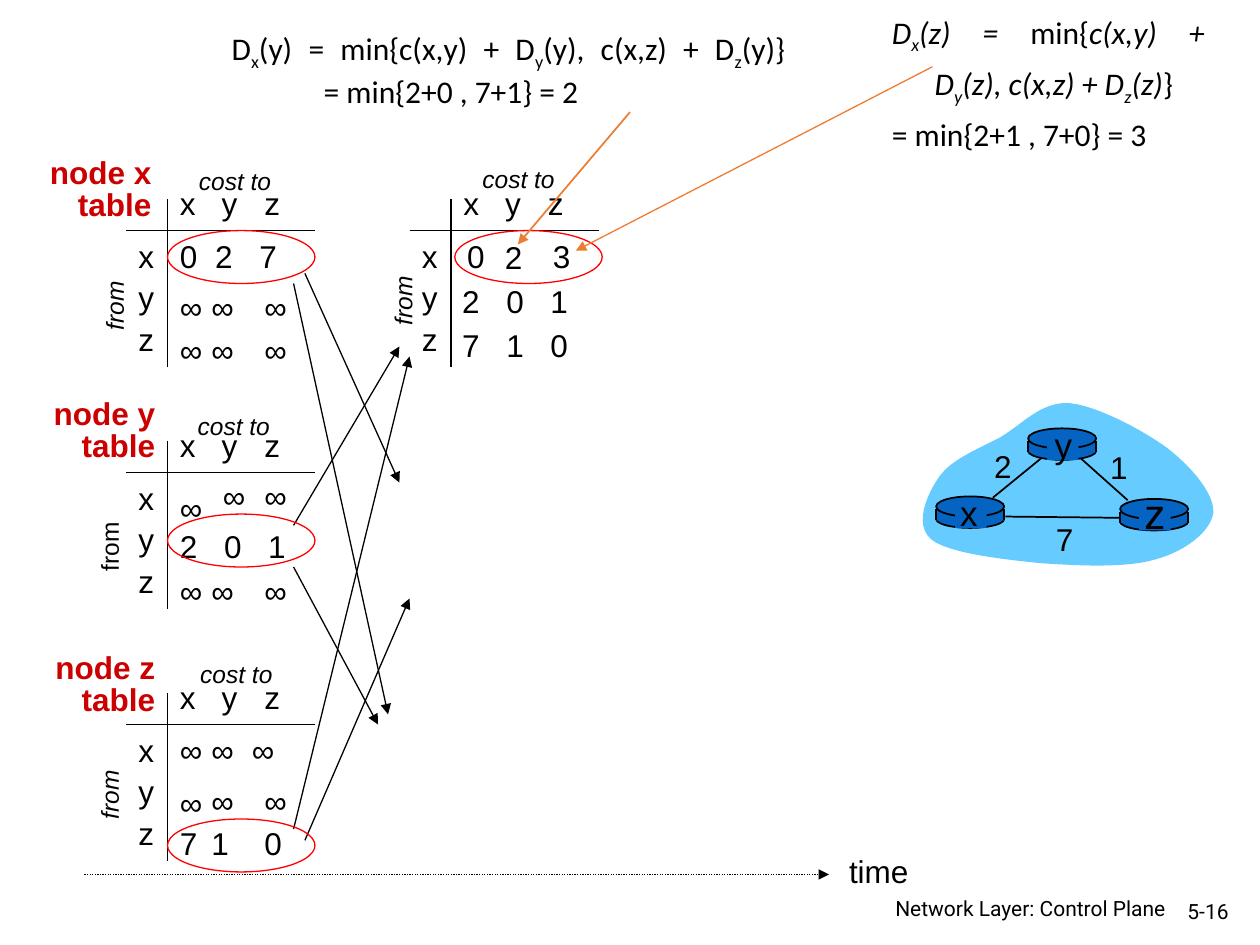
from lxml.etree import SubElement
from pptx import Presentation
from pptx.dml.color import RGBColor
from pptx.enum.dml import MSO_LINE
from pptx.enum.shapes import MSO_CONNECTOR, MSO_SHAPE
from pptx.enum.text import MSO_ANCHOR, MSO_AUTO_SIZE, PP_ALIGN
from pptx.oxml.ns import qn
from pptx.util import Inches, Pt

COLORS = {"black": "000000", "node": "CC0000", "ring": "FF0000",
          "pointer": "ED7D31", "cloud": "66CCFF", "router": "0563C1"}

presentation = Presentation()
presentation.slide_width, presentation.slide_height = Inches(10), Inches(7.5)
slide = presentation.slides.add_slide(presentation.slide_layouts[6])
shapes = slide.shapes


def add_text(box, lines, size=18, font="Arial", color="black", bold=False, italic=False,
             align=PP_ALIGN.LEFT, stops=(), spacing=None, wrap=False):
    shape = shapes.add_textbox(*map(Inches, box))
    frame = shape.text_frame
    frame.word_wrap = wrap
    frame.auto_size = MSO_AUTO_SIZE.SHAPE_TO_FIT_TEXT
    frame.text = lines
    for paragraph in frame.paragraphs:
        paragraph.alignment = align
        if spacing:
            paragraph.line_spacing = spacing
        if stops:
            tab_list = SubElement(paragraph._p.get_or_add_pPr(), qn("a:tabLst"))
            for stop in stops:
                SubElement(tab_list, qn("a:tab"), pos=str(Inches(stop)), algn="l")
        for run in paragraph.runs:
            run.font.size, run.font.name = Pt(size), font
            run.font.bold, run.font.italic = bold, italic
            run.font.color.rgb = RGBColor.from_string(COLORS[color])
    return shape


def add_line(x1, y1, x2, y2, color="black", width=0.75, arrow=False, dash=None):
    line = shapes.add_connector(MSO_CONNECTOR.STRAIGHT, *map(Inches, (x1, y1, x2, y2)))
    line.line.color.rgb = RGBColor.from_string(COLORS[color])
    line.line.width = Pt(width)
    if dash:
        line.line.dash_style = dash
    properties = line._element.spPr
    if arrow:
        SubElement(properties.find(qn("a:ln")), qn("a:tailEnd"), type="triangle")
    SubElement(properties, qn("a:effectLst"))


for left, top in [(1.33, 1.58), (3.58, 1.58), (1.33, 3.5), (1.33, 5.5)]:
    add_line(left, top, left, top + 1.33)
    add_line(left - 0.33, top + 0.25, left + 1.17, top + 0.25)
    add_text((left, top - 0.17, 1.08, 0.4), "x\ty\tz", stops=(0.33, 0.67), wrap=True)
    for row, node in enumerate("xyz"):
        add_text((left - 0.33, top + 0.25 + 0.33 * row, 0.33, 0.4), node)

for left, top in [(1.48, 1.27), (3.73, 1.25), (1.47, 3.21), (1.49, 5.18)]:
    add_text((left, top, 0.82, 0.33), "cost to", size=14, italic=True, wrap=True)

for left, top, italic in [(0.61, 2.26, True), (2.9, 2.22, True),
                          (0.57, 4.17, False), (0.57, 6.14, True)]:
    add_text((left, top, 0.59, 0.33), "from", size=14, italic=italic).rotation = 270

for left, top, value in [
        (1.33, 2.24, "∞"), (1.58, 2.24, "∞"), (2, 2.24, "∞"),
        (1.33, 2.58, "∞"), (1.58, 2.58, "∞"), (2, 2.58, "∞"),
        (1.67, 3.74, "∞"), (2, 3.74, "∞"),
        (1.33, 4.49, "∞"), (1.58, 4.49, "∞"), (2, 4.49, "∞"),
        (1.33, 6.17, "∞"), (1.58, 6.16, "∞"), (2, 6.16, "∞"),
        (1.33, 6.49, "7"), (1.58, 6.49, "1"), (2, 6.49, "0"),
        (3.61, 1.83, "0"), (3.91, 1.84, "2"), (4.29, 1.83, "3")]:
    add_text((left, top, 0.38 if value == "∞" else 0.34, 0.4), value)

for left, top, height, values, stops in [
        (1.33, 1.83, 0.4, "0\t2\t7", (0.28, 0.63)),
        (1.33, 3.83, 0.7, "∞\n2\t0\t1", (0.35, 0.7)),
        (1.33, 5.75, 0.4, "∞\t∞\t∞", (0.25, 0.57)),
        (3.57, 2.19, 0.4, "2\t0\t1", (0.35, 0.7)),
        (3.57, 2.54, 0.4, "7\t1\t0", (0.35, 0.7))]:
    add_text((left, top, 1.08, height), values, stops=stops, wrap=True)

for ends in [(2.42, 2.17, 3.17, 3.83), (2.33, 2.25, 3.08, 5.67), (2.33, 4.17, 3.17, 2.75),
             (2.33, 4.5, 3, 5.75), (2.33, 6.58, 3.25, 2.83), (2.42, 6.67, 3.25, 4.75)]:
    add_line(*ends, arrow=True)
add_line(0.67, 6.94, 6.58, 6.94, arrow=True, dash=MSO_LINE.ROUND_DOT)
add_text((6.64, 6.71, 0.67, 0.4), "time")

start = (7.45, 3.79)
curves = [((7.54, 3.65), (7.77, 3.56), (7.94, 3.47)), ((8.11, 3.37), (8.27, 3.18), (8.49, 3.2)),
          ((8.71, 3.22), (9.08, 3.42), (9.27, 3.56)), ((9.46, 3.71), (9.64, 3.92), (9.63, 4.07)),
          ((9.61, 4.22), (9.4, 4.38), (9.17, 4.44)), ((8.94, 4.51), (8.55, 4.49), (8.26, 4.47)),
          ((7.96, 4.44), (7.52, 4.39), (7.39, 4.28)), ((7.25, 4.16), (7.36, 3.92), (7.45, 3.79))]
outline, current = [], start
for first, second, end in curves:
    for step in range(1, 13):
        t = step / 12
        outline.append(tuple(
            Inches((1 - t) ** 3 * a + 3 * (1 - t) ** 2 * t * b
                   + 3 * (1 - t) * t ** 2 * c + t ** 3 * d)
            for a, b, c, d in zip(current, first, second, end)))
    current = end
builder = shapes.build_freeform(*map(Inches, start))
builder.add_line_segments(outline, close=True)
cloud = builder.convert_to_shape()
cloud.shadow.inherit = False
cloud.fill.solid()
cloud.fill.fore_color.rgb = RGBColor.from_string(COLORS["cloud"])
cloud.line.fill.background()

for ends in [(7.88, 3.95, 8.26, 3.64), (8.58, 3.64, 8.95, 3.97), (8.91, 4.11, 7.98, 4.1)]:
    add_line(*ends, width=1)

for left, top, name, size, label_box in [
        (7.43, 3.94, "x", 20, (7.52, 3.85, 0.34, 0.43)),
        (8.89, 3.96, "z", 24, (8.98, 3.82, 0.37, 0.5)),
        (8.16, 3.4, "y", 20, (8.27, 3.31, 0.34, 0.43))]:
    for kind, dx, dy, width, height in [
            (MSO_SHAPE.OVAL, 0, 0.11, 0.54, 0.14), (MSO_SHAPE.RECTANGLE, 0, 0.1, 0.54, 0.09),
            (MSO_SHAPE.OVAL, 0, 0, 0.54, 0.16), (MSO_SHAPE.RECTANGLE, 0.15, 0.02, 0.25, 0.23)]:
        part = shapes.add_shape(kind, *map(Inches, (left + dx, top + dy, width, height)))
        part.shadow.inherit = False
        part.fill.solid()
        part.fill.fore_color.rgb = RGBColor.from_string(COLORS["router"])
        if kind == MSO_SHAPE.OVAL:
            part.line.color.rgb = RGBColor.from_string(COLORS["black"])
            part.line.width = Pt(1)
        else:
            part.line.fill.background()
    for side in (left, left + 0.54):
        add_line(side, top + 0.1, side, top + 0.19, width=1)
    add_text(label_box, name, size=size, align=PP_ALIGN.CENTER)

for left, top, cost in [(8.71, 3.51, "1"), (7.79, 3.5, "2"), (8.28, 4.08, "7")]:
    add_text((left, top, 0.34, 0.4), cost, align=PP_ALIGN.CENTER)

for left, top, width, name in [(0.29, 1.21, 1.01, "x"), (0.32, 3.12, 1.01, "y"),
                               (0.34, 5.14, 0.99, "z")]:
    add_text((left, top, width, 0.61), f"node {name}\ntable", color="node", bold=True,
             align=PP_ALIGN.RIGHT, spacing=0.85)

for left, top in [(1.33, 1.83), (1.33, 4.08), (1.33, 6.5), (3.61, 1.83)]:
    ring = shapes.add_shape(MSO_SHAPE.OVAL, *map(Inches, (left, top, 1.17, 0.42)))
    ring.shadow.inherit = False
    ring.fill.background()
    ring.line.color.rgb = RGBColor.from_string(COLORS["ring"])
    ring.line.width = Pt(0.75)

formulas = [
    ((1.74, 0.2, 4.72, 0.7), 0.23, 0.73, None, False,
     "D|_x|(y) = min{c(x,y) + D|_y|(y), c(x,z) + D|_z|(y)}|\v|\t= min{2+0 , 7+1} = 2"),
    ((6.98, 0.03, 2.92, 1.18), 0.34, 0.34, 1.2, True,
     "D|_x|(z) = |^min{|c(x,y) +|\v|\tD|_y|(z), c(x,z) + D|_z|(z)|^}\n= min{2+1 , 7+0} = 3")]
for box, inset, indent, spacing, italic, content in formulas:
    shape = add_text(box, "", wrap=True)
    frame = shape.text_frame
    frame.margin_right = Inches(inset)
    frame.vertical_anchor = MSO_ANCHOR.MIDDLE
    for number, line in enumerate(content.split("\n")):
        paragraph = frame.add_paragraph() if number else frame.paragraphs[0]
        paragraph.alignment = PP_ALIGN.JUSTIFY
        if spacing:
            paragraph.line_spacing = spacing
        tab_list = SubElement(paragraph._p.get_or_add_pPr(), qn("a:tabLst"))
        SubElement(tab_list, qn("a:tab"), pos=str(Inches(indent)), algn="l")
        for piece in line.split("|"):
            if piece == "\v":
                paragraph.add_line_break()
                continue
            run = paragraph.add_run()
            run.text = piece.lstrip("_^")
            run.font.size, run.font.name = Pt(18), "Calibri"
            run.font.italic = italic and number == 0 and not piece.startswith("^")
            run.font.color.rgb = RGBColor.from_string(COLORS["black"])
            if piece.startswith("_"):
                run._r.get_or_add_rPr().set("baseline", "-25000")

add_line(5, 0.89, 4.11, 1.94, color="pointer", width=1, arrow=True)
add_line(7.4, 0.53, 4.57, 1.99, color="pointer", arrow=True)

for box, label in [((9.25, 7.08, 0.6, 0.3), "5-16"),
                   ((6.97, 7.08, 2.38, 0.26), "Network Layer: Control Plane")]:
    footer = add_text(box, label, size=12, font="Roboto", align=PP_ALIGN.RIGHT, wrap=True)
    footer.text_frame.vertical_anchor = MSO_ANCHOR.MIDDLE

presentation.save("out.pptx")
